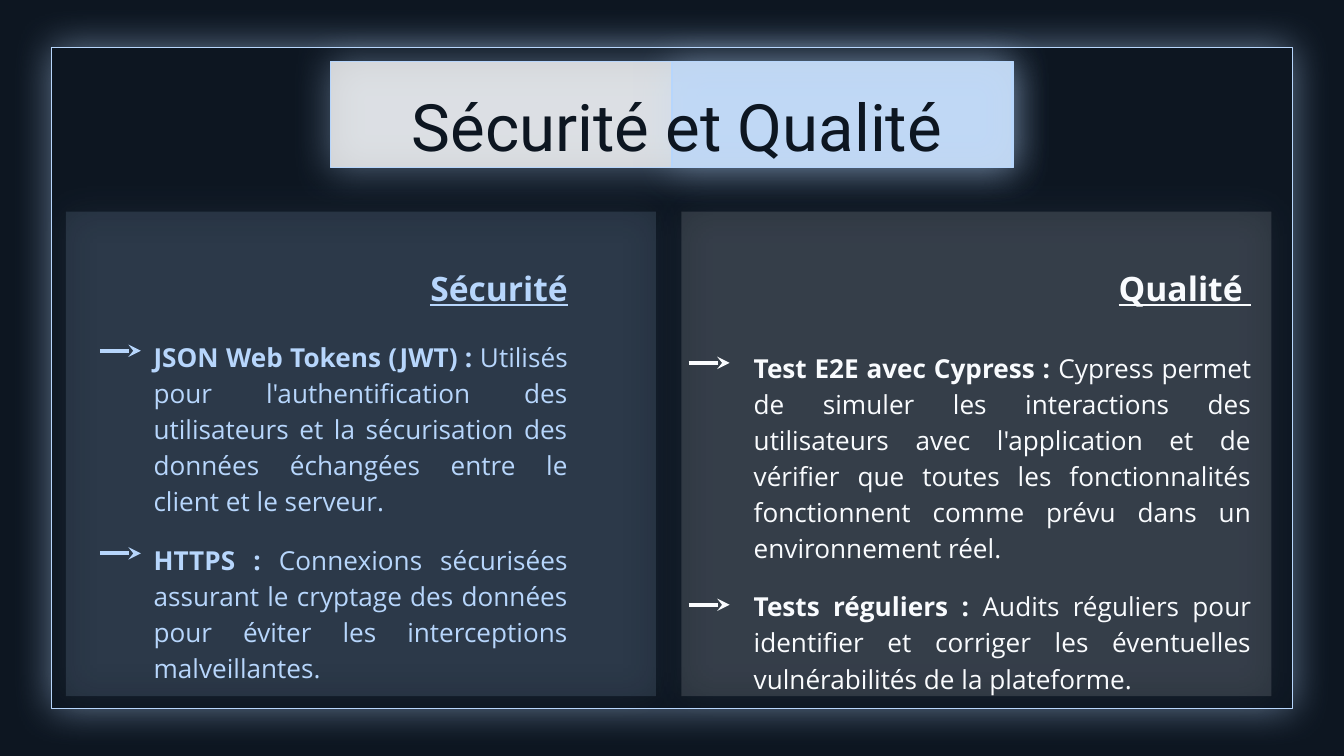
"""Build the slide on security and quality."""
from dataclasses import dataclass

from lxml import etree
from pptx import Presentation
from pptx.dml.color import RGBColor
from pptx.enum.shapes import MSO_CONNECTOR, MSO_SHAPE
from pptx.enum.text import MSO_ANCHOR, MSO_AUTO_SIZE, PP_ALIGN
from pptx.oxml.ns import qn
from pptx.util import Inches, Pt

RECTANGLE = MSO_SHAPE.RECTANGLE
STRAIGHT = MSO_CONNECTOR.STRAIGHT
TOP = MSO_ANCHOR.TOP
FIT_SHAPE = MSO_AUTO_SIZE.SHAPE_TO_FIT_TEXT
NO_FIT = MSO_AUTO_SIZE.NONE
CENTER, RIGHT, JUSTIFY = PP_ALIGN.CENTER, PP_ALIGN.RIGHT, PP_ALIGN.JUSTIFY
SLIDE_WIDTH = Inches(10)
SLIDE_HEIGHT = SLIDE_WIDTH * 9 // 16


@dataclass(frozen=True)
class Theme:
    """Colours, fonts and type sizes of the slide."""

    night: str = "0D1621"
    sky: str = "B7D6FC"
    white: str = "FFFFFF"
    title_font: str = "Roboto"
    body_font: str = "Open Sans"
    title_size: int = 35
    heading_size: int = 18
    body_size: int = 14
    line_spacing: float = 1.15
    paragraph_gap: int = 12
    border_width: float = 0.75
    arrow_width: float = 2.25
    glow_blur: float = 21.4
    glow_opacity: int = 50
    panel_opacity: int = 13


@dataclass(frozen=True)
class Topic:
    """One column: its places in percent of the slide, and its text."""

    color: str
    panel_left: float
    arrow_left: float
    body_left: float
    body_top: float
    body_width: float
    heading_left: float
    arrow_tops: tuple
    heading: str
    points: tuple


THEME = Theme()
TOPICS = (
    Topic(
        THEME.sky, 4.9, 7.43, 10.44, 42.8, 32.8, 10.44, (46.4, 73.2), "Sécurité",
        (
            ("JSON Web Tokens (JWT) :",
             " Utilisés pour l'authentification des utilisateurs et la sécurisation "
             "des données échangées entre le client et le serveur."),
            ("HTTPS : ",
             "Connexions sécurisées assurant le cryptage des données pour éviter "
             "les interceptions malveillantes."),
        ),
    ),
    Topic(
        THEME.white, 50.7, 51.24, 55.1, 44.2, 39, 61.3, (48, 80), "Qualité ",
        (
            ("Test E2E avec Cypress : ",
             "Cypress permet de simuler les interactions des utilisateurs avec "
             "l'application et de vérifier que toutes les fonctionnalités "
             "fonctionnent comme prévu dans un environnement réel."),
            ("Tests réguliers :",
             " Audits réguliers pour identifier et corriger les éventuelles "
             "vulnérabilités de la plateforme."),
        ),
    ),
)


def place(left, top, width, height):
    """Turn percentages of the slide into a position and a size."""
    return (
        round(SLIDE_WIDTH * left / 100),
        round(SLIDE_HEIGHT * top / 100),
        round(SLIDE_WIDTH * width / 100),
        round(SLIDE_HEIGHT * height / 100),
    )


def set_opacity(color_element, percent):
    """Give a colour element an opacity."""
    etree.SubElement(color_element, qn("a:alpha")).set("val", str(percent * 1000))


def add_glow(shape):
    """Surround a shape with a centred soft shadow."""
    effects = etree.SubElement(shape._element.spPr, qn("a:effectLst"))
    shadow = etree.SubElement(effects, qn("a:outerShdw"))
    shadow.set("blurRad", str(Pt(THEME.glow_blur)))
    shadow.set("dist", "0")
    shadow.set("algn", "bl")
    shadow.set("rotWithShape", "0")
    color = etree.SubElement(shadow, qn("a:srgbClr"))
    color.set("val", THEME.sky)
    set_opacity(color, THEME.glow_opacity)


def add_glowing_box(slide, area, color, opacity=100, bordered=True):
    """Add a glowing rectangle, see-through when asked."""
    shape = slide.shapes.add_shape(RECTANGLE, *place(*area))
    shape.fill.solid()
    shape.fill.fore_color.rgb = RGBColor.from_string(color)
    if opacity < 100:
        set_opacity(shape._element.spPr.find(".//" + qn("a:srgbClr")), opacity)
    if bordered:
        shape.line.color.rgb = RGBColor.from_string(THEME.sky)
        shape.line.width = Pt(THEME.border_width)
    else:
        shape.line.fill.background()
    add_glow(shape)


def add_arrow(slide, left, top, color):
    """Add a short arrow pointing right."""
    x, y, length, _ = place(left, top, 3.05, 0)
    arrow = slide.shapes.add_connector(STRAIGHT, x, y, x + length, y)
    arrow.line.color.rgb = RGBColor.from_string(color)
    arrow.line.width = Pt(THEME.arrow_width)
    arrow_head = etree.SubElement(arrow.line._get_or_add_ln(), qn("a:tailEnd"))
    arrow_head.set("type", "stealth")
    etree.SubElement(arrow._element.spPr, qn("a:effectLst"))


def prepare_frame(shape, fit):
    """Give a text frame its margins, wrapping and anchor."""
    frame = shape.text_frame
    frame.word_wrap = True
    frame.auto_size = fit
    frame.vertical_anchor = TOP
    frame.margin_left = frame.margin_right = Inches(0.1)
    frame.margin_top = frame.margin_bottom = Inches(0.1)
    return frame


def format_paragraph(paragraph, alignment, space_before=0):
    """Set the alignment and spacing of a paragraph."""
    paragraph.alignment = alignment
    paragraph.line_spacing = THEME.line_spacing
    paragraph.space_before = Pt(space_before)


def add_run(paragraph, text, font_name, size, color, bold=False, underline=False):
    """Add one formatted run to a paragraph."""
    run = paragraph.add_run()
    run.text = text
    run.font.name = font_name
    run.font.size = Pt(size)
    run.font.bold = bold
    run.font.underline = underline
    run.font.color.rgb = RGBColor.from_string(color)


def add_title(slide, text):
    """Place the title above its two-tone banner."""
    add_glowing_box(slide, (24.6, 8.1, 50.7, 14.1), THEME.white, 80)
    add_glowing_box(slide, (50, 8.1, 25.4, 14.1), THEME.sky, 64)
    title = slide.shapes.title
    title.left, title.top, title.width, title.height = place(23.8, 8.1, 53.2, 14.1)
    slide.shapes._spTree.append(title._element)
    paragraph = prepare_frame(title, NO_FIT).paragraphs[0]
    format_paragraph(paragraph, CENTER)
    add_run(paragraph, text, THEME.title_font, THEME.title_size, THEME.night)


def add_topic(slide, topic):
    """Add the heading, points, arrows and tinted panel of a column."""
    heading = slide.shapes.add_textbox(*place(topic.heading_left, 32.9, 32.8, 8.9))
    paragraph = prepare_frame(heading, FIT_SHAPE).paragraphs[0]
    format_paragraph(paragraph, RIGHT)
    add_run(paragraph, topic.heading, THEME.body_font, THEME.heading_size,
            topic.color, bold=True, underline=True)

    body = slide.shapes.add_textbox(
        *place(topic.body_left, topic.body_top, topic.body_width, 49.2))
    frame = prepare_frame(body, FIT_SHAPE)
    for index, (label, detail) in enumerate(topic.points):
        paragraph = frame.add_paragraph() if index else frame.paragraphs[0]
        format_paragraph(paragraph, JUSTIFY, THEME.paragraph_gap if index else 0)
        for text, bold in ((label, True), (detail, False)):
            add_run(paragraph, text, THEME.body_font, THEME.body_size, topic.color, bold)
    for top in topic.arrow_tops:
        add_arrow(slide, topic.arrow_left, top, topic.color)
    add_glowing_box(slide, (topic.panel_left, 28, 43.9, 64.1), topic.color,
                    THEME.panel_opacity, bordered=False)


def main():
    """Build and save the presentation."""
    presentation = Presentation()
    presentation.slide_width, presentation.slide_height = SLIDE_WIDTH, SLIDE_HEIGHT
    slide = presentation.slides.add_slide(presentation.slide_layouts[5])
    slide.background.fill.solid()
    slide.background.fill.fore_color.rgb = RGBColor.from_string(THEME.night)
    add_glowing_box(slide, (3.86, 6.27, 92.3, 87.5), THEME.night)
    add_title(slide, "Sécurité et Qualité")
    for topic in TOPICS:
        add_topic(slide, topic)
    presentation.save("out.pptx")


if __name__ == "__main__":
    main()
